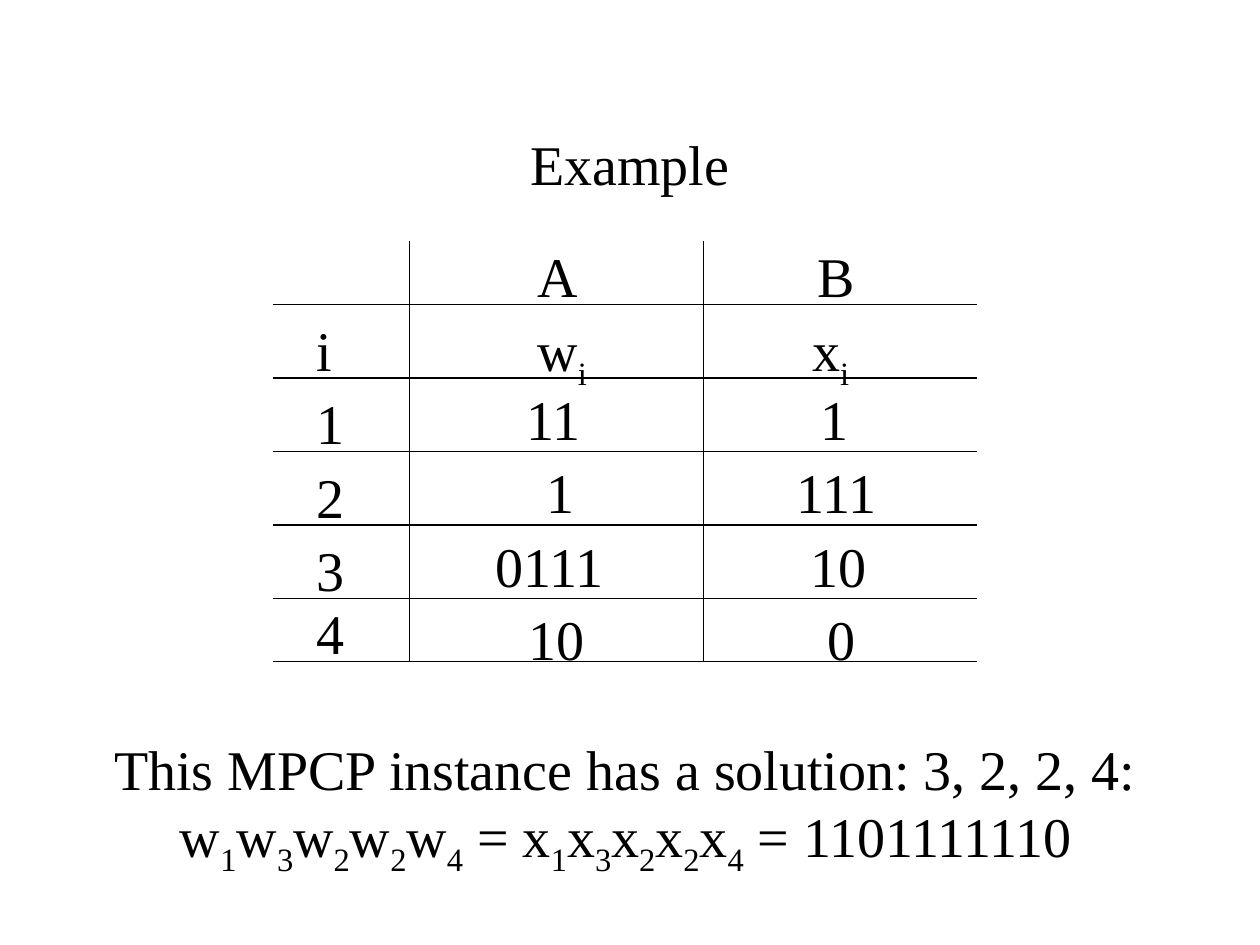
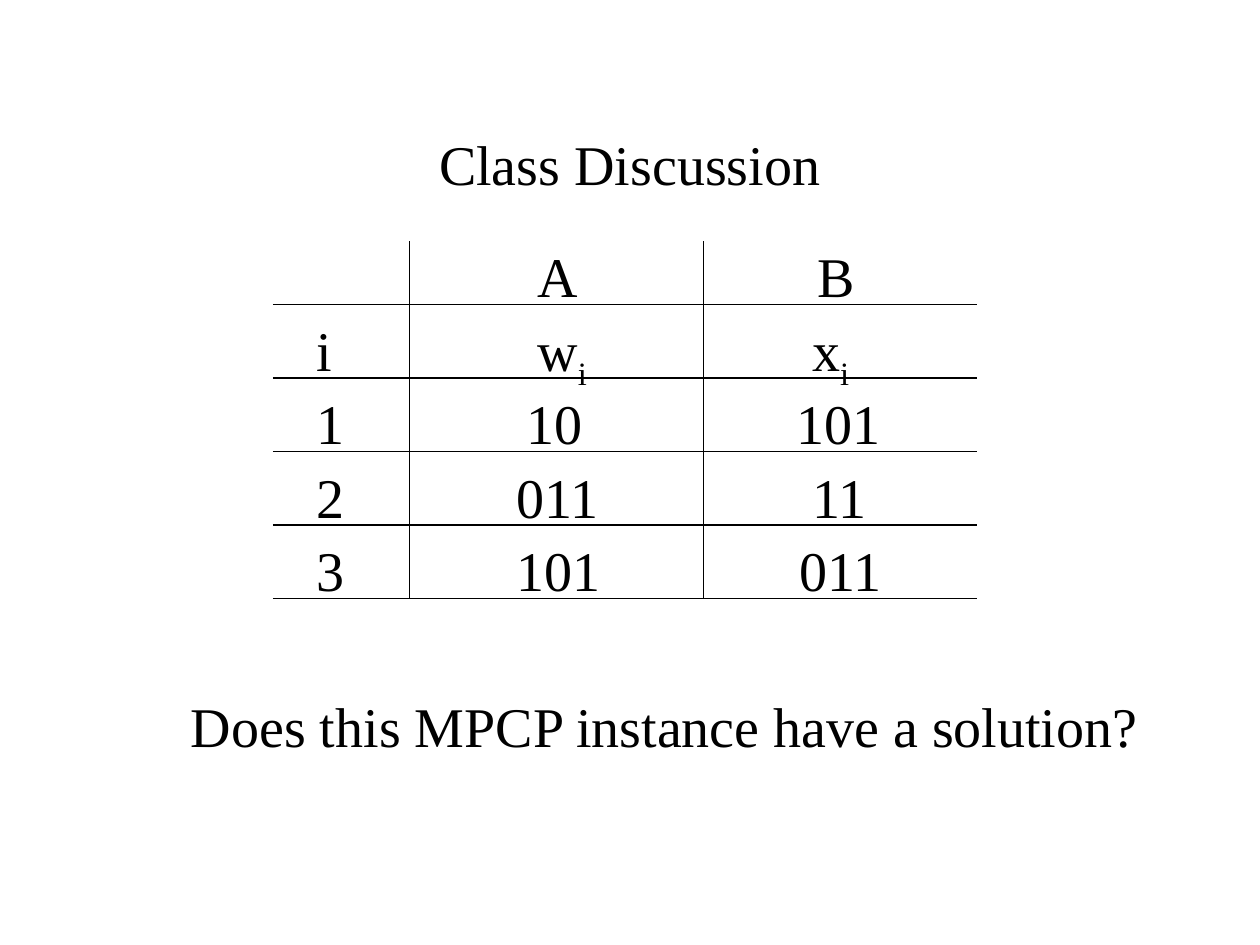
from lxml import etree
from pptx import Presentation
from pptx.dml.color import RGBColor
from pptx.enum.shapes import MSO_CONNECTOR
from pptx.enum.text import MSO_ANCHOR, MSO_AUTO_SIZE, PP_ALIGN
from pptx.oxml.ns import qn
from pptx.util import Pt

STRAIGHT = MSO_CONNECTOR.STRAIGHT
LEFT, CENTER = PP_ALIGN.LEFT, PP_ALIGN.CENTER
TOP, MIDDLE = MSO_ANCHOR.TOP, MSO_ANCHOR.MIDDLE
GROW, FIXED = MSO_AUTO_SIZE.SHAPE_TO_FIT_TEXT, MSO_AUTO_SIZE.NONE

COLORS = {"ink": "000000", "paper": "FFFFFF"}
FONT = "Times New Roman"
TEXT_SIZE = 32
LINE_HEIGHT = 45.5
DIGIT_WIDTH = 16
SIDE_MARGINS = 14.4

GRID_LEFT, GRID_RIGHT, GRID_TOP = 156, 558, 138
COLUMN_RULES = (234, 402)
RULES = [174 + 42 * row for row in range(5)]
LABEL_RISE = 39.5
INDEX_LEFT = 174
HEADINGS = [
    (0, "A", 300, 37.5),
    (0, "B", 460, 36),
    (1, "i", INDEX_LEFT, 23),
    (1, "w_i", 300, 43),
    (1, "x_i", 457, 36.7),
]

EXAMPLE_ROWS = [
    (("11", 294), ("1", 462)),
    (("1", 305), ("111", 448)),
    (("0111", 276), ("10", 456)),
    (("10", 295), ("0", 466)),
]
DISCUSSION_ROWS = [
    (("10", 294), ("101", 448)),
    (("011", 288), ("11", 457)),
    (("101", 288), ("011", 450)),
]
SOLUTION = [
    "This MPCP instance has a solution: 3, 2, 2, 4:",
    "w_1w_3w_2w_2w_4 = x_1x_3x_2x_2x_4 = 1101111110",
]
QUESTION = ["Does this MPCP instance have a solution?"]


class Lecture:
    def __init__(self):
        self.deck = Presentation()
        self.deck.slide_width, self.deck.slide_height = Pt(720), Pt(540)
        self.page = None

    def add_page(self, title):
        self.page = self.deck.slides.add_slide(self.deck.slide_layouts[6])
        fill = self.page.background.fill
        fill.solid()
        fill.fore_color.rgb = RGBColor.from_string(COLORS["paper"])
        self.text([title], 54, 48, 612, 90, CENTER, MIDDLE, wrap=True)

    def text(self, lines, left, top, width, height=LINE_HEIGHT,
             align=LEFT, anchor=TOP, wrap=False):
        box = self.page.shapes.add_textbox(Pt(left), Pt(top), Pt(width), Pt(height))
        frame = box.text_frame
        frame.word_wrap = wrap
        frame.auto_size = FIXED if wrap else GROW
        frame.vertical_anchor = anchor
        for number, line in enumerate(lines):
            para = frame.add_paragraph() if number else frame.paragraphs[0]
            para.alignment = align
            para.font.name = FONT
            para.font.size = Pt(TEXT_SIZE)
            para.font.color.rgb = RGBColor.from_string(COLORS["ink"])
            self.spans(para, line)

    def spans(self, para, line):
        first, *rest = line.split("_")
        para.add_run().text = first
        for part in rest:
            span = para.add_run()
            span.text = part[0]
            span._r.get_or_add_rPr().set("baseline", "-25000")
            if part[1:]:
                para.add_run().text = part[1:]

    def line(self, x1, y1, x2, y2):
        rule = self.page.shapes.add_connector(STRAIGHT, Pt(x1), Pt(y1), Pt(x2), Pt(y2))
        rule.line.color.rgb = RGBColor.from_string(COLORS["ink"])
        rule.line.width = Pt(0.75)
        etree.SubElement(rule._element.spPr, qn("a:effectLst"))

    def number(self, digits, left, top):
        self.text([digits], left, top, SIDE_MARGINS + DIGIT_WIDTH * len(digits))

    def grid(self, rules, rows, word_drop):
        for y in rules:
            self.line(GRID_LEFT, y, GRID_RIGHT, y)
        for x in COLUMN_RULES:
            self.line(x, GRID_TOP, x, rules[-1])
        for row, label, left, width in HEADINGS:
            self.text([label], left, rules[row] - LABEL_RISE, width)
        for index, words in enumerate(rows, start=1):
            self.number(str(index), INDEX_LEFT, rules[index + 1] - LABEL_RISE)
            for word, left in words:
                self.number(word, left, rules[index] + word_drop)


def main():
    lecture = Lecture()

    lecture.add_page("Example")
    lecture.grid(RULES + [378], EXAMPLE_ROWS, word_drop=0)
    lecture.text(SOLUTION, 55.5, 416.3, 604, 84, CENTER)

    lecture.add_page("Class Discussion")
    lecture.grid(RULES, DISCUSSION_ROWS, word_drop=2.5)
    lecture.text(QUESTION, 102, 391.5, 557.5)

    lecture.deck.save("out.pptx")


if __name__ == "__main__":
    main()
